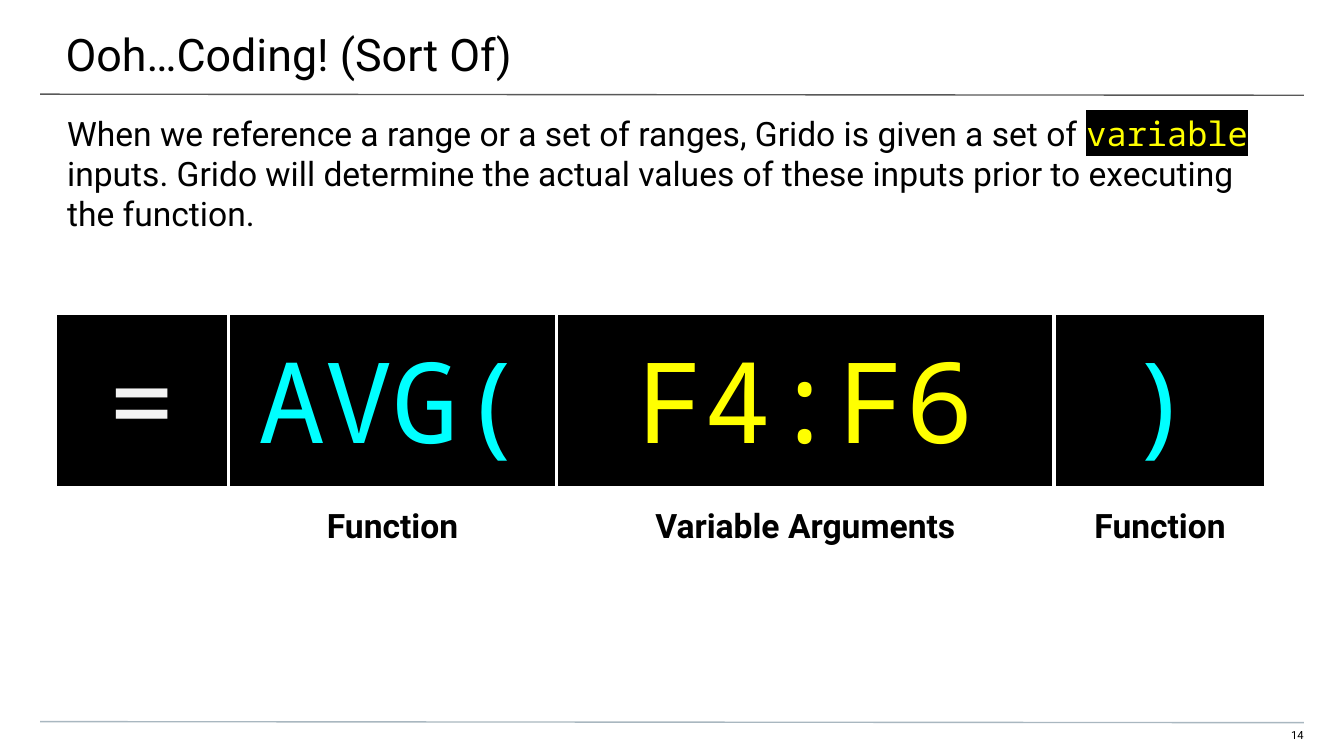
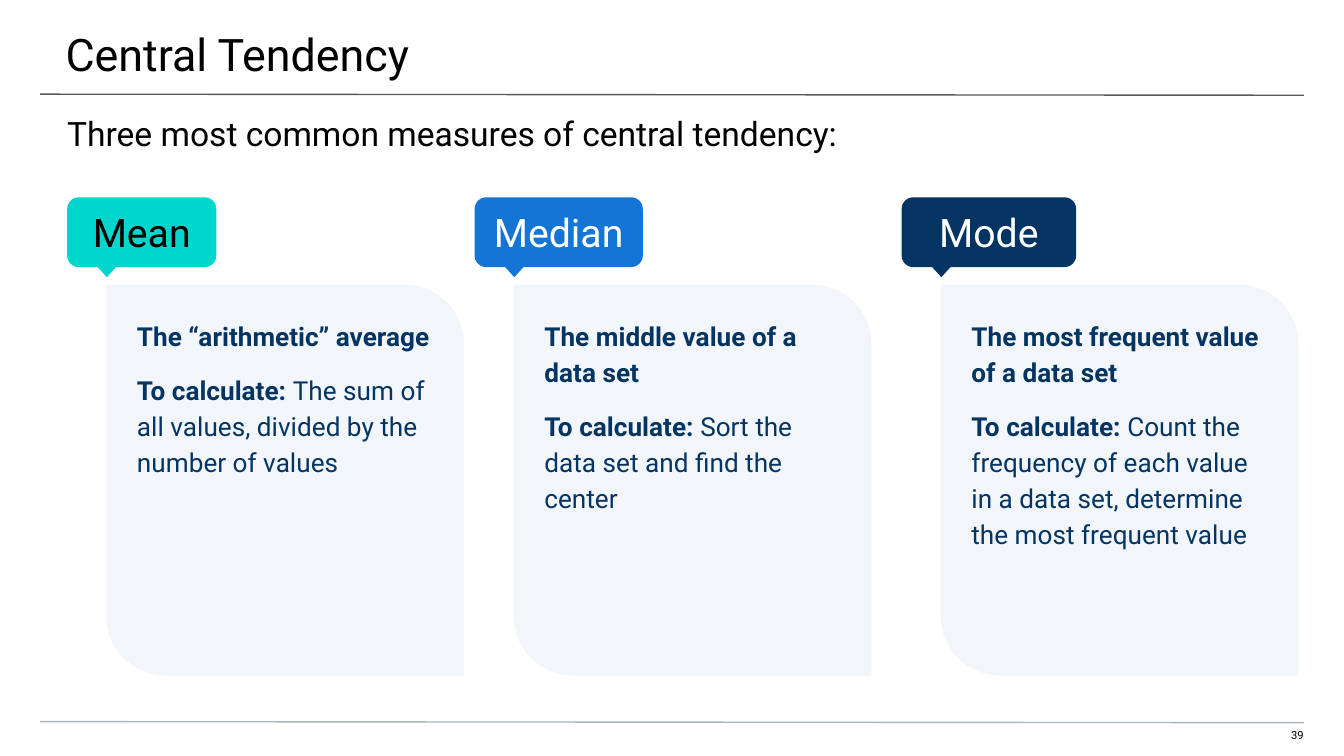
from lxml.etree import SubElement
from pptx import Presentation
from pptx.dml.color import RGBColor
from pptx.enum.shapes import MSO_CONNECTOR as Line, MSO_SHAPE as Shape
from pptx.enum.text import MSO_ANCHOR as Anchor, PP_ALIGN as Align
from pptx.oxml.ns import qn
from pptx.util import Cm, Pt

BODY_FONT, CODE_FONT = "Roboto", "Noto Sans Mono"
BLACK, WHITE, NAVY, PALE = "000000", "FFFFFF", "043461", "F2F5F9"
YELLOW, CYAN = "FFFF00", "00FFFF"
SLIDE_WIDTH, SLIDE_HEIGHT = 25.4, 14.29

# Spans are (text, options) pairs.
CODING = {
    "title": "Ooh…Coding! (Sort Of)",
    "number": "14",
    "intro": [
        ("When we reference a range or a set of ranges, Grido is given a set of ", {}),
        ("variable", {"font": CODE_FONT, "color": YELLOW, "highlight": BLACK}),
        (" inputs. Grido will determine the actual values of these inputs "
         "prior to executing the function.", {}),
    ],
}
# code, colour, label, column width
FORMULA = [
    ("=", "F3F3F3", "", 3.28),
    ("AVG(", CYAN, "Function", 6.2),
    ("F4:F6", YELLOW, "Variable Arguments", 9.4),
    (")", CYAN, "Function", 4.01),
]
FORMULA_ROWS = (3.3, 1.47)

TENDENCY = {
    "title": "Central Tendency",
    "number": "39",
    "intro": [("Three most common measures of central tendency:", {})],
}
# name, fill, text colour, left, tag width, meaning, method
MEASURES = [
    ("Mean", "00D6CB", BLACK, 1.27, 2.82, "The “arithmetic” average",
     "The sum of all values, divided by the number of values"),
    ("Median", "1475D4", WHITE, 8.97, 3.18, "The middle value of a data set",
     "Sort the data set and find the center"),
    ("Mode", NAVY, WHITE, 17.04, 3.3, "The most frequent value of a data set",
     "Count the frequency of each value in a data set, "
     "determine the most frequent value"),
]


def rgb(value):
    return RGBColor.from_string(value)


def add_span(para, text, size, color=BLACK, font=BODY_FONT, bold=False, highlight=None):
    span = para.add_run()
    span.text = text
    span.font.size = Pt(size)
    span.font.name = font
    span.font.bold = bold
    span.font.color.rgb = rgb(color)
    if highlight:
        props = span.font._element
        mark = SubElement(props, qn("a:highlight"))
        SubElement(mark, qn("a:srgbClr"), val=highlight)
        props.find(qn("a:solidFill")).addnext(mark)


def set_insets(holder, left, top, right, bottom):
    holder.margin_left, holder.margin_top = Cm(left), Cm(top)
    holder.margin_right, holder.margin_bottom = Cm(right), Cm(bottom)


def add_text(page, place, insets, spans, size, align=Align.LEFT):
    box = page.shapes.add_textbox(*map(Cm, place))
    frame = box.text_frame
    frame.word_wrap = True
    set_insets(frame, *insets)
    para = frame.paragraphs[0]
    para.alignment = align
    for text, options in spans:
        add_span(para, text, size, **options)


def add_rule(page, top, color):
    rule = page.shapes.add_connector(
        Line.STRAIGHT, Cm(0.76), Cm(top), Cm(24.64), Cm(top + 0.02))
    rule.line.color.rgb = rgb(color)
    rule.line.width = Pt(0.75)
    SubElement(rule._element.spPr, qn("a:effectLst"))


def add_page(deck, content):
    """Add a slide with the shared title, intro, rules and page number."""
    page = deck.slides.add_slide(deck.slide_layouts[6])
    add_text(page, (23.9, 13.77, 0.74, 0.3), (0, 0, 0, 0.25),
             [(content["number"], {})], 6, Align.RIGHT)
    add_rule(page, 1.78, "595959")
    add_rule(page, 13.64, "A9B7C0")
    add_text(page, (-0.03, 0, 25.48, 1.47), (1.27, 0.51, 0.76, 0.25),
             [(content["title"], {})], 24)
    add_text(page, (0, 1.88, SLIDE_WIDTH, 1.02), (1.27, 0.25, 1.27, 0),
             content["intro"], 18)
    return page


def add_borders(cell, color, width):
    props = cell._tc.get_or_add_tcPr()
    for side in ("lnL", "lnR", "lnT", "lnB"):
        border = SubElement(props, qn(f"a:{side}"), w=str(Pt(width)))
        fill = SubElement(border, qn("a:solidFill"))
        SubElement(fill, qn("a:srgbClr"), val=color)


def fill_cell(cell, text, fill, **style):
    add_borders(cell, WHITE, 2.25)
    cell.fill.solid()
    cell.fill.fore_color.rgb = rgb(fill)
    cell.vertical_anchor = Anchor.MIDDLE
    set_insets(cell, 0.25, 0, 0.25, 0)
    if text:
        para = cell.text_frame.paragraphs[0]
        para.alignment = Align.CENTER
        add_span(para, text, **style)


def add_formula(page):
    width = sum(column[-1] for column in FORMULA)
    table = page.shapes.add_table(
        len(FORMULA_ROWS), len(FORMULA), Cm(1.04), Cm(5.92),
        Cm(width), Cm(sum(FORMULA_ROWS))).table
    table.first_row = table.horz_banding = False
    for row, height in zip(table.rows, FORMULA_ROWS):
        row.height = Cm(height)
    for index, (code, color, label, column_width) in enumerate(FORMULA):
        table.columns[index].width = Cm(column_width)
        fill_cell(table.cell(0, index), code, BLACK,
                  size=60, color=color, font=CODE_FONT)
        fill_cell(table.cell(1, index), label, WHITE, size=18, bold=True)


def add_block(page, kind, place, fill):
    block = page.shapes.add_shape(kind, *map(Cm, place))
    block.shadow.inherit = False
    block.fill.solid()
    block.fill.fore_color.rgb = rgb(fill)
    block.line.fill.background()
    set_insets(block.text_frame, 0.25, 0.25, 0.25, 0.25)
    return block


def add_measure(page, name, fill, color, left, width, meaning, method):
    card = add_block(page, Shape.ROUND_2_DIAG_RECTANGLE,
                     (left + 0.74, 5.38, 6.76, 7.39), PALE)
    card.adjustments[0], card.adjustments[1] = 0, 0.167
    frame = card.text_frame
    frame.vertical_anchor = Anchor.TOP
    first, second = frame.paragraphs[0], frame.add_paragraph()
    for para in (first, second):
        para.alignment = Align.LEFT
        para.line_spacing = 1.15
    second.space_before = Pt(10)
    add_span(first, meaning, 14, NAVY, bold=True)
    add_span(second, "To calculate: ", 14, NAVY, bold=True)
    add_span(second, method, 14, NAVY)

    tag = add_block(page, Shape.ROUNDED_RECTANGLE, (left, 3.73, width, 1.32), fill)
    tag.adjustments[0] = 0.167
    tag.text_frame.vertical_anchor = Anchor.MIDDLE
    para = tag.text_frame.paragraphs[0]
    para.alignment = Align.CENTER
    add_span(para, name, 21, color)

    pointer = add_block(page, Shape.FLOWCHART_EXTRACT,
                        (left + 0.38, 4.83, 0.74, 0.41), fill)
    pointer.rotation = 180


def main():
    deck = Presentation()
    deck.slide_width, deck.slide_height = Cm(SLIDE_WIDTH), Cm(SLIDE_HEIGHT)
    add_formula(add_page(deck, CODING))
    page = add_page(deck, TENDENCY)
    for measure in MEASURES:
        add_measure(page, *measure)
    deck.save("out.pptx")


if __name__ == "__main__":
    main()
